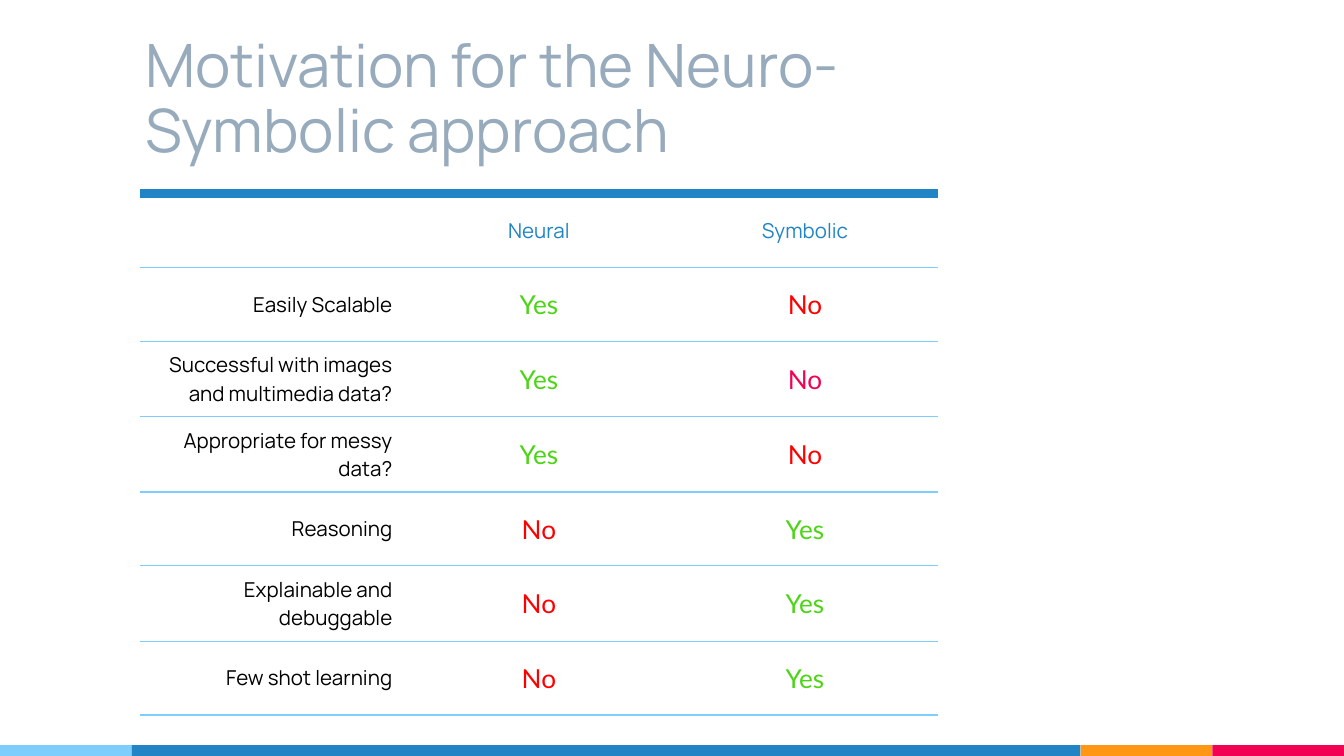
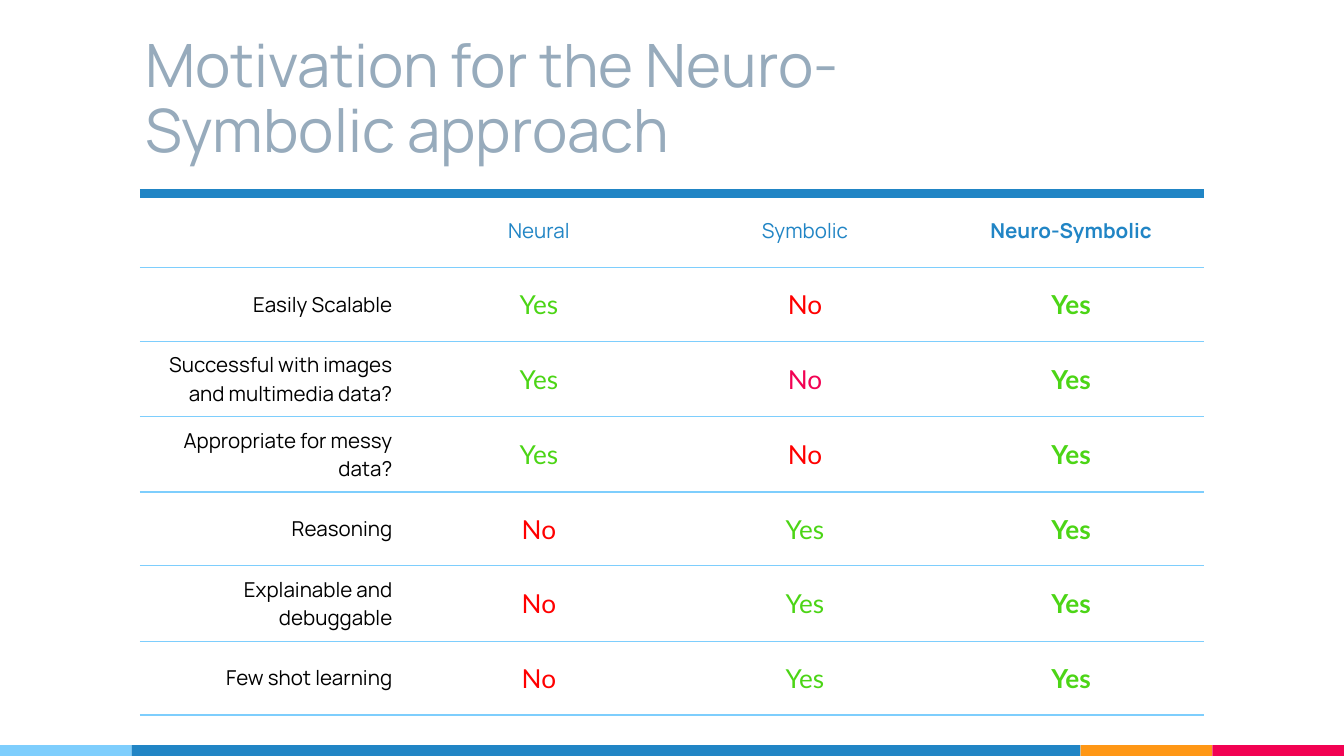
"""Build two slides that compare neural, symbolic and joint methods."""
import dataclasses

import lxml.etree
import pptx
import pptx.dml.color
import pptx.enum.shapes
import pptx.enum.text
import pptx.oxml.ns
import pptx.util

ALIGN = pptx.enum.text.PP_ALIGN
ANCHOR = pptx.enum.text.MSO_ANCHOR
INCH = pptx.util.Inches


@dataclasses.dataclass(frozen=True)
class Theme:
    wide: float = 10
    high: float = 5.625
    edge: float = 0.98
    band: float = 0.08
    sky: str = "7ECEFD"
    blue: str = "2185C5"
    gold: str = "FF9715"
    pink: str = "F20253"
    grey: str = "97ABBC"
    ink: str = "000000"
    green: str = "4CD516"
    red: str = "FF0000"
    head: str = "Manrope"
    mark: str = "Lato"
    big: int = 32
    mid: int = 14
    small: int = 11
    rule: float = 0.75
    bar: float = 6
    col: float = 1.98
    row: float = 0.55


THEME = Theme()
TITLE = "Motivation for the Neuro-Symbolic approach"
HEADS = ["Neural", "Symbolic", "Neuro-Symbolic"]
ROWS = [
    ("Easily Scalable", "Yes", "No", "Yes"),
    ("Successful with images and multimedia data?", "Yes", "No", "Yes"),
    ("Appropriate for messy data?", "Yes", "No", "Yes"),
    ("Reasoning", "No", "Yes", "Yes"),
    ("Explainable and debuggable", "No", "Yes", "Yes"),
    ("Few shot learning", "No", "Yes", "Yes"),
]
PINK = (2, 2)


def tint(code):
    return pptx.dml.color.RGBColor.from_string(code)


def put(frame, text, size=THEME.small, font=THEME.head, color=THEME.ink,
        bold=False, align=ALIGN.LEFT, space=None):
    para = frame.paragraphs[0]
    para.alignment = align
    para.line_spacing = space
    run = para.add_run()
    run.text = text
    run.font.size = pptx.util.Pt(size)
    run.font.name = font
    run.font.bold = bold
    run.font.color.rgb = tint(color)


def draw_bands(slide, layout):
    side = THEME.edge
    main = THEME.wide - 3 * side
    left = 0
    for width, color in [(side, THEME.sky), (main, THEME.blue),
                         (side, THEME.gold), (side, THEME.pink)]:
        band = slide.shapes.add_shape(
            pptx.enum.shapes.MSO_SHAPE.RECTANGLE, INCH(left),
            INCH(THEME.high - THEME.band), INCH(width), INCH(THEME.band))
        band.shadow.inherit = False
        band.fill.solid()
        band.fill.fore_color.rgb = tint(color)
        band.line.fill.background()
        layout.shapes._spTree.append(band._element)
        left += width


def set_title(slide):
    title = slide.shapes.title
    title.left, title.top = INCH(THEME.edge), INCH(0.39)
    title.width, title.height = INCH(THEME.wide - 3 * THEME.edge), INCH(0.94)
    frame = title.text_frame
    frame.word_wrap = True
    frame.auto_size = pptx.enum.text.MSO_AUTO_SIZE.NONE
    frame.vertical_anchor = ANCHOR.BOTTOM
    frame.margin_left = frame.margin_right = INCH(0.1)
    frame.margin_top = frame.margin_bottom = INCH(0.1)
    put(frame, TITLE, size=THEME.big, color=THEME.grey, space=0.9)


def set_edge(cell, spot, side, color=None, width=THEME.rule):
    name = pptx.oxml.ns.qn
    line = lxml.etree.Element(name("a:ln" + side))
    if color:
        line.set("w", str(pptx.util.Pt(width)))
        fill = lxml.etree.SubElement(line, name("a:solidFill"))
        lxml.etree.SubElement(fill, name("a:srgbClr"), val=color)
    else:
        lxml.etree.SubElement(line, name("a:noFill"))
    cell._tc.get_or_add_tcPr().insert(spot, line)


def set_cell(cell, top):
    cell.fill.background()
    cell.vertical_anchor = ANCHOR.MIDDLE
    cell.margin_left = cell.margin_right = INCH(0.1)
    cell.margin_top = cell.margin_bottom = INCH(0.07)
    set_edge(cell, 0, "L")
    set_edge(cell, 1, "R")
    if top:
        set_edge(cell, 2, "T", THEME.blue, THEME.bar)
    else:
        set_edge(cell, 2, "T", THEME.sky)
    set_edge(cell, 3, "B", THEME.sky)


def pick(row, col, text):
    """Give the text format for one cell of the grid."""
    bold = col == len(HEADS)
    if row == 0:
        return dict(color=THEME.blue, bold=bold, align=ALIGN.CENTER)
    if col == 0:
        return dict(align=ALIGN.RIGHT)
    color = THEME.green if text == "Yes" else THEME.red
    if (row, col) == PINK:
        color = THEME.pink
    return dict(size=THEME.mid, font=THEME.mark, color=color, bold=bold,
                align=ALIGN.CENTER)


def add_grid(slide, cols):
    data = [("", *HEADS)] + ROWS
    table = slide.shapes.add_table(
        len(data), cols, INCH(1.04), INCH(1.44),
        INCH(cols * THEME.col), INCH(len(data) * THEME.row)).table
    table.first_row = table.horz_banding = False
    for row, line in enumerate(data):
        for col, text in enumerate(line[:cols]):
            cell = table.cell(row, col)
            set_cell(cell, row == 0)
            if text:
                put(cell.text_frame, text, **pick(row, col, text))


def main():
    deck = pptx.Presentation()
    deck.slide_width = INCH(THEME.wide)
    deck.slide_height = INCH(THEME.high)
    layout = deck.slide_layouts[5]
    for cols in (3, 4):
        slide = deck.slides.add_slide(layout)
        set_title(slide)
        add_grid(slide, cols)
    draw_bands(slide, layout)
    deck.save("out.pptx")


if __name__ == "__main__":
    main()
